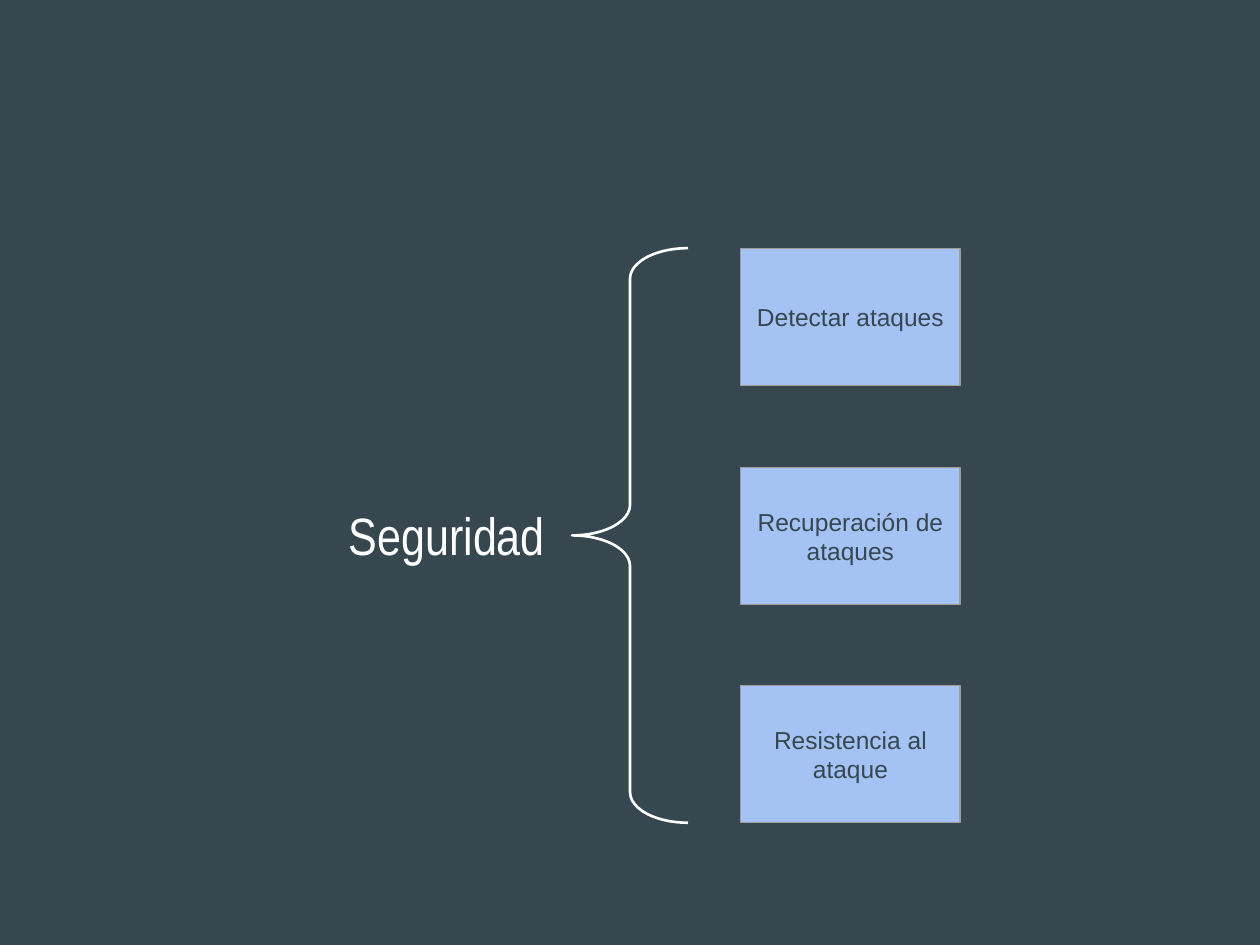
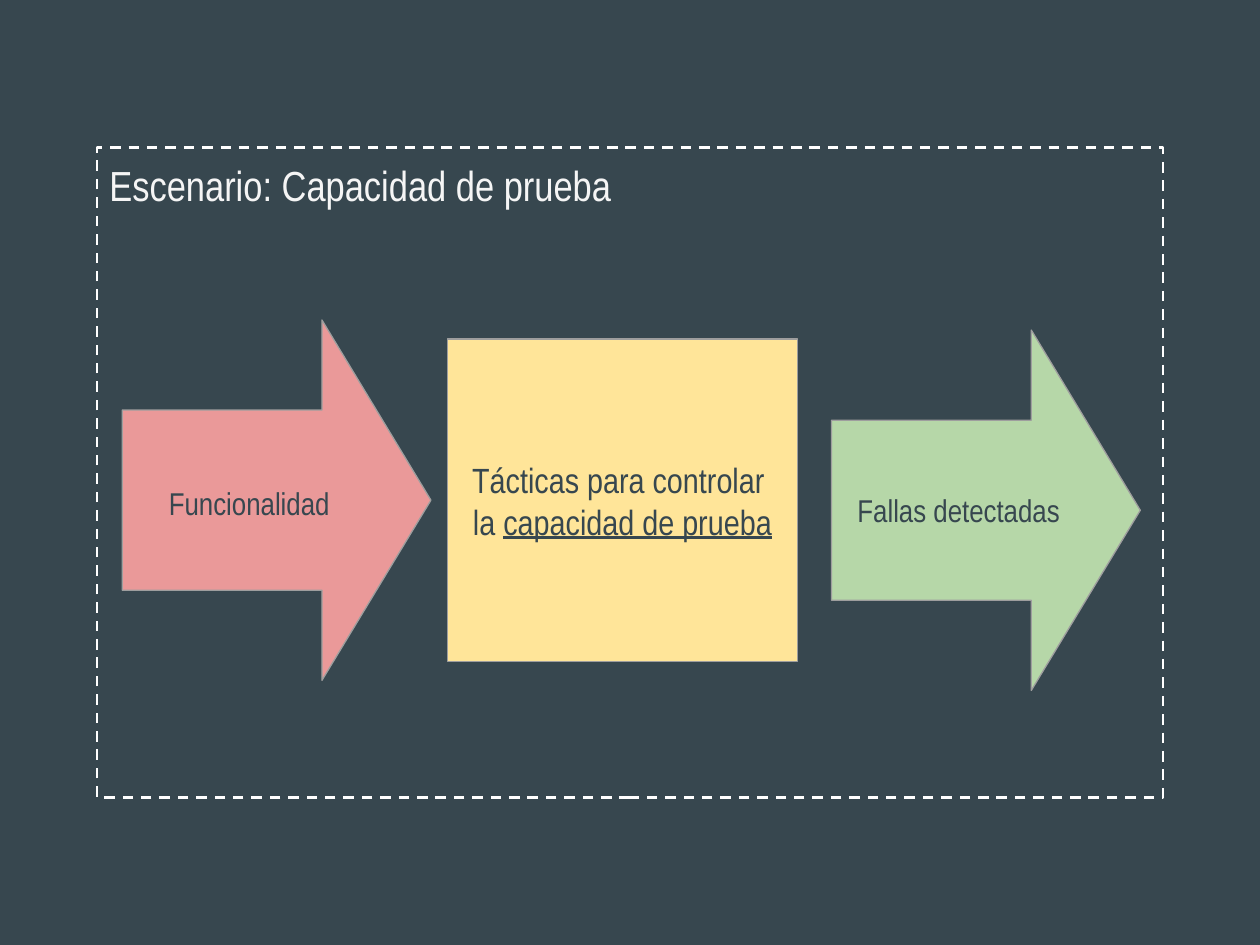
"""Build two slides on security and testability tactics."""
from pptx import Presentation, util as u
from pptx.dml.color import RGBColor
from pptx.enum import dml, shapes, text

PX = 9144
SLATE = RGBColor(0x37, 0x47, 0x4F)
WHITE = RGBColor(0xFF, 0xFF, 0xFF)
PALE = RGBColor(0xF5, 0xF5, 0xF5)
GREY = RGBColor(0x9E, 0x9E, 0x9E)
BLUE = RGBColor(0xA4, 0xC2, 0xF4)
RED = RGBColor(0xEA, 0x99, 0x99)
GOLD = RGBColor(0xFF, 0xE5, 0x99)
GREEN = RGBColor(0xB6, 0xD7, 0xA8)
SANS, NARROW = "Arial", "Arial Narrow"
KIND = shapes.MSO_SHAPE
LEFT, MID = text.PP_ALIGN.LEFT, text.PP_ALIGN.CENTER
TOP, CENTER = text.MSO_ANCHOR.TOP, text.MSO_ANCHOR.MIDDLE


def write(shape, *lines, size=18, font=NARROW, color=SLATE, align=MID,
          anchor=CENTER, space=1.0):
    """Fill a shape with lines; each is (plain, underlined) or a string."""
    frame = shape.text_frame
    frame.word_wrap = True
    frame.vertical_anchor = anchor
    frame.margin_left = frame.margin_right = 10 * PX
    frame.margin_top = frame.margin_bottom = 10 * PX
    for i, line in enumerate(lines):
        para = frame.paragraphs[0] if i == 0 else frame.add_paragraph()
        para.alignment = align
        para.line_spacing = space
        parts = (line,) if isinstance(line, str) else line
        for j, part in enumerate(parts):
            run = para.add_run()
            run.text = part
            run.font.size = u.Pt(size)
            run.font.name = font
            run.font.color.rgb = color
            if j:
                run.font.underline = True


class Deck:
    """Hold the shared style and the current slide."""

    def __init__(self):
        self.show = Presentation()
        self.show.slide_width, self.show.slide_height = 1000 * PX, 750 * PX
        self.page = None

    def new(self):
        """Start a slide on the dark background."""
        self.page = self.show.slides.add_slide(self.show.slide_layouts[6])
        fill = self.page.background.fill
        fill.solid()
        fill.fore_color.rgb = SLATE

    def label(self, box, words, **style):
        """Add free text."""
        area = self.page.shapes.add_textbox(*(n * PX for n in box))
        write(area, words, **style)

    def shape(self, kind, box, fill=None, line=GREY, width=0.75, adjust=()):
        """Add a preset shape."""
        item = self.page.shapes.add_shape(kind, *(n * PX for n in box))
        item.shadow.inherit = False
        if fill is None:
            item.fill.background()
        else:
            item.fill.solid()
            item.fill.fore_color.rgb = fill
        item.line.color.rgb = line
        item.line.width = u.Pt(width)
        for i, value in enumerate(adjust):
            item.adjustments[i] = value
        return item

    def block(self, box, fill, *lines, **style):
        """Add a filled box with text."""
        write(self.shape(KIND.RECTANGLE, box, fill), *lines, **style)

    def arrow(self, left, top, fill, words, **style):
        """Add a wide arrow with text."""
        item = self.shape(KIND.RIGHT_ARROW, (left, top, 245, 286), fill,
                          adjust=(0.5, 0.353))
        write(item, words, **style)

    def frame(self, box, words, **style):
        """Add a dashed frame with a heading."""
        item = self.shape(KIND.RECTANGLE, box, line=WHITE, width=1.5)
        item.line.dash_style = dml.MSO_LINE.DASH
        write(item, words, align=LEFT, anchor=TOP, **style)

    def brace(self, box):
        """Add a left brace."""
        self.shape(KIND.LEFT_BRACE, box, line=WHITE, width=1.5,
                   adjust=(0.263, 0.5))


def safety(deck):
    """Draw the security tactics."""
    deck.new()
    deck.label((267, 384, 187, 81), "Seguridad", size=30, color=WHITE,
               align=LEFT)
    deck.brace((454, 197, 92, 456))
    goals = ("Detectar ataques", "Recuperación de ataques",
             "Resistencia al ataque")
    for i, goal in enumerate(goals):
        top = 197 + round(173.5 * i)
        deck.block((588, top, 174, 109), BLUE, goal, size=14, font=SANS)


def testing(deck):
    """Draw the testability scenario."""
    deck.new()
    deck.frame((77, 117, 846, 516), "Escenario: Capacidad de prueba",
               size=24, color=PALE)
    deck.arrow(97, 254, RED, "Funcionalidad", space=1.15)
    deck.block((355, 269, 278, 256), GOLD, "Tácticas para controlar ",
               ("la ", "capacidad de prueba"), size=20)
    deck.arrow(660, 262, GREEN, "Fallas detectadas")


def main():
    """Build and save the deck."""
    deck = Deck()
    safety(deck)
    testing(deck)
    deck.show.save("out.pptx")


if __name__ == "__main__":
    main()
